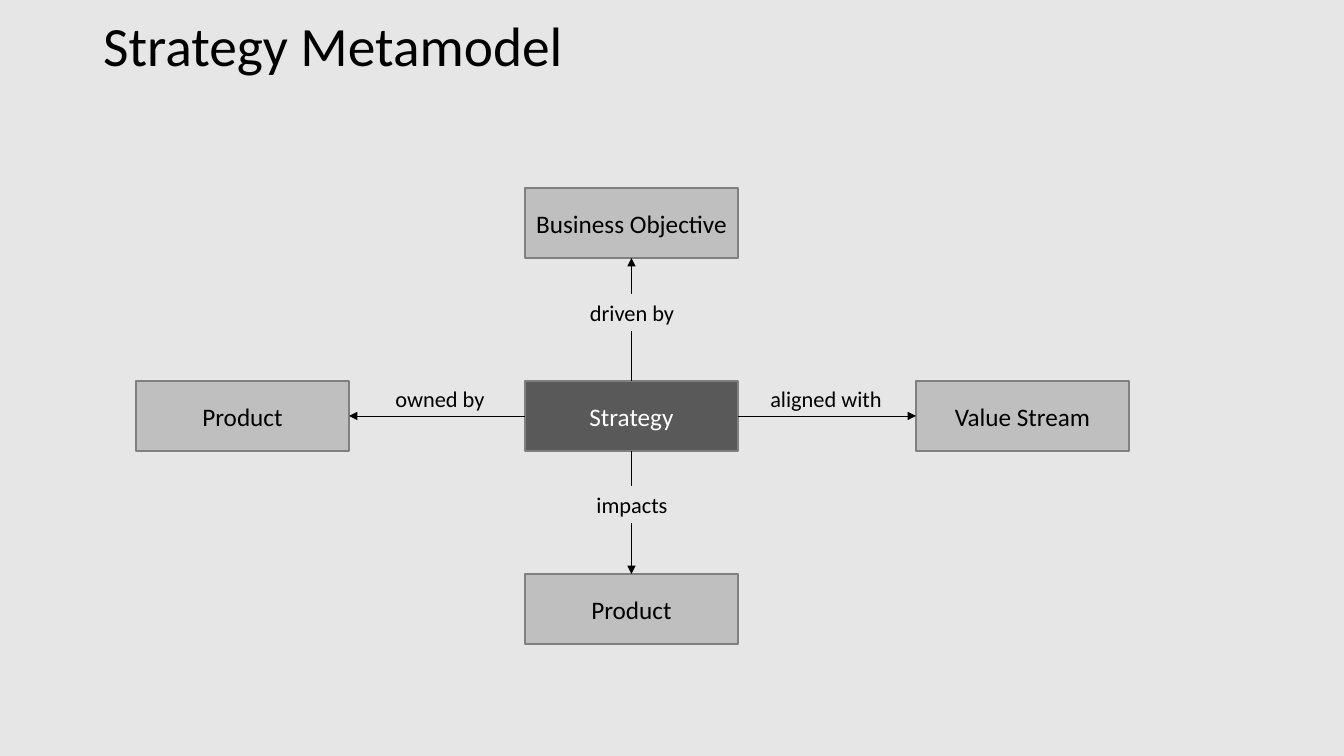
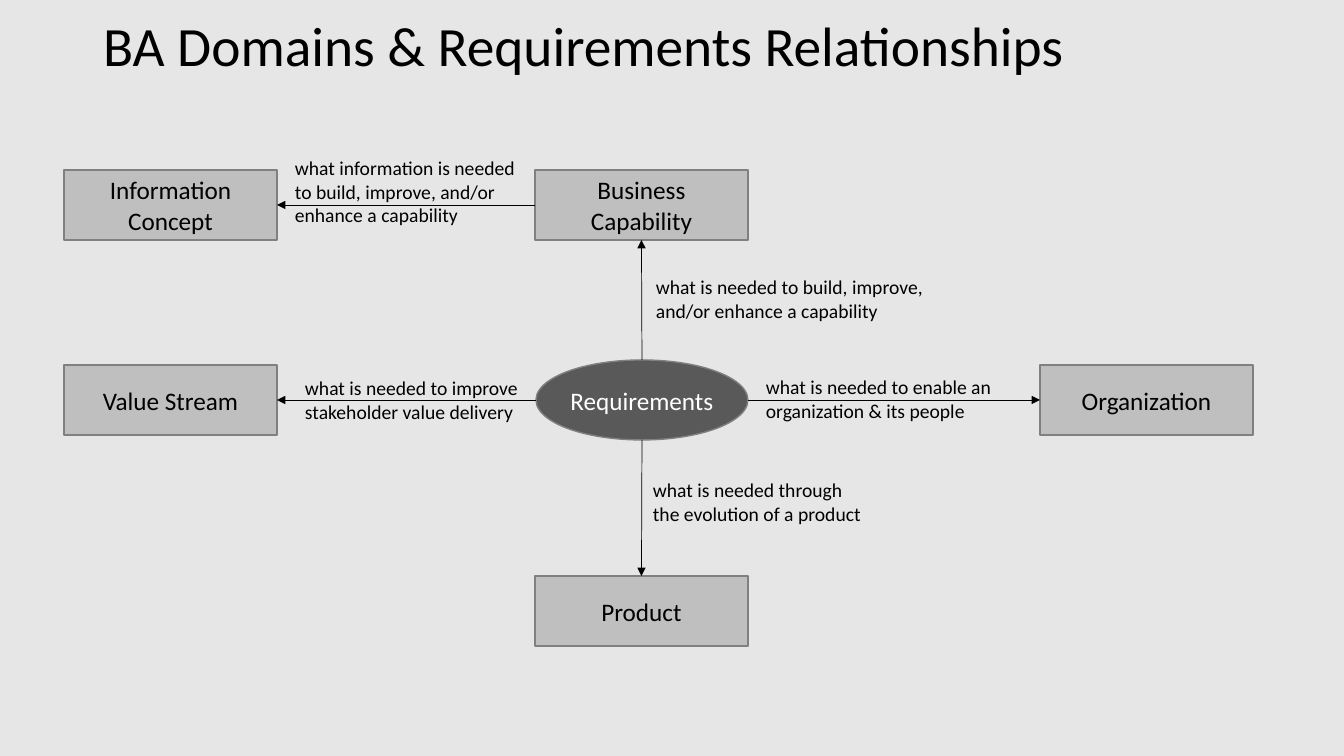
from lxml import etree
from pptx import Presentation
from pptx.dml.color import RGBColor
from pptx.enum.shapes import MSO_CONNECTOR, MSO_SHAPE
from pptx.enum.text import MSO_ANCHOR, PP_ALIGN
from pptx.oxml.ns import qn
from pptx.util import Pt

EMU_PER_PX = 914400 / 100.8
FONT = "Calibri"
BACKGROUND, BOX, HUB, BORDER = "E7E6E6", "BFBFBF", "595959", "808080"
BLACK, WHITE = "000000", "FFFFFF"
BOX_W, BOX_H = 213, 70
TOP, LEFT, BOTTOM, RIGHT = range(4)


def px(*values):
    return [round(v * EMU_PER_PX) for v in values]


def paint(color_holder, color):
    if hasattr(color_holder, "solid"):
        color_holder.solid()
        color_holder = color_holder.fore_color
    color_holder.rgb = RGBColor.from_string(color)


def write(sp, text, size=18, color=BLACK, align=PP_ALIGN.LEFT,
          anchor=MSO_ANCHOR.TOP, spacing=None, inset=None):
    tf = sp.text_frame
    tf.word_wrap = True
    tf.vertical_anchor = anchor
    if inset is not None:
        tf.margin_left = tf.margin_right = tf.margin_top = tf.margin_bottom = inset
    p = tf.paragraphs[0]
    p.alignment = align
    p.line_spacing = spacing
    r = p.add_run()
    r.text = text
    r.font.name = FONT
    r.font.size = Pt(size)
    paint(r.font.color, color)


def add_slide(prs, title):
    slide = prs.slides.add_slide(prs.slide_layouts[5])
    sp = slide.shapes.title
    sp.left, sp.top, sp.width, sp.height = px(93, 20, 1048, 58)
    write(sp, title, size=39.6, anchor=MSO_ANCHOR.MIDDLE, spacing=0.9)
    return slide


def add_node(slide, text, x, y, w=BOX_W, h=BOX_H, shape=MSO_SHAPE.RECTANGLE,
             fill=BOX, color=BLACK, inset=None):
    sp = slide.shapes.add_shape(shape, *px(x, y, w, h))
    sp.shadow.inherit = False
    paint(sp.fill, fill)
    paint(sp.line.color, BORDER)
    sp.line.width = Pt(1)
    write(sp, text, color=color, align=PP_ALIGN.CENTER,
          anchor=MSO_ANCHOR.MIDDLE, inset=inset)
    return sp


def add_label(slide, text, x, y, w, h, size=14, fill=None, align=PP_ALIGN.LEFT):
    sp = slide.shapes.add_textbox(*px(x, y, w, h))
    if fill:
        paint(sp.fill, fill)
    write(sp, text, size=size, align=align)


def add_masked_label(slide, text, x, y):
    add_label(slide, text, x, y, 134, 37, size=16, fill=BACKGROUND,
              align=PP_ALIGN.CENTER)


def side_point(sp, side):
    across = {LEFT: 0, RIGHT: sp.width}.get(side, sp.width // 2)
    down = {TOP: 0, BOTTOM: sp.height}.get(side, sp.height // 2)
    return sp.left + across, sp.top + down


def add_arrow(slide, source, source_side, target):
    target_side = (source_side + 2) % 4
    line = slide.shapes.add_connector(
        MSO_CONNECTOR.STRAIGHT,
        *side_point(source, source_side), *side_point(target, target_side))
    if source.auto_shape_type == MSO_SHAPE.RECTANGLE:
        line.begin_connect(source, source_side)
    line.end_connect(target, target_side)
    paint(line.line.color, BLACK)
    line.line.width = Pt(0.5)
    etree.SubElement(line.line._get_or_add_ln(), qn("a:tailEnd"), type="triangle")
    etree.SubElement(line._element.spPr, qn("a:effectLst"))


def build_strategy(prs):
    slide = add_slide(prs, "Strategy Metamodel")
    add_masked_label(slide, "owned by", 373, 380)
    add_masked_label(slide, "aligned with", 759, 380)
    strategy = add_node(slide, "Strategy", 525, 381, fill=HUB, color=WHITE)
    for side, text, x, y in [
        (TOP, "Business Objective", 525, 188),
        (LEFT, "Product", 136, 381),
        (BOTTOM, "Product", 525, 574),
        (RIGHT, "Value Stream", 916, 381),
    ]:
        add_arrow(slide, strategy, side, add_node(slide, text, x, y))
    add_masked_label(slide, "driven by", 565, 294)
    add_masked_label(slide, "impacts", 565, 486)


def build_requirements(prs):
    slide = add_slide(prs, "BA Domains & Requirements Relationships")
    requirements = add_node(slide, "Requirements", 536, 360, 212, 80,
                            MSO_SHAPE.OVAL, HUB, WHITE, inset=0)
    capability = add_node(slide, "Business Capability", 535, 170)
    information = add_node(slide, "Information Concept", 64, 170)
    value_stream = add_node(slide, "Value Stream", 64, 365)
    organization = add_node(slide, "Organization", 1040, 365)
    product = add_node(slide, "Product", 535, 576)
    for source, side, target in [
        (requirements, TOP, capability),
        (capability, LEFT, information),
        (requirements, LEFT, value_stream),
        (requirements, BOTTOM, product),
        (requirements, RIGHT, organization),
    ]:
        add_arrow(slide, source, side, target)
    for text, *place in [
        ("what is needed to improve stakeholder value delivery", 295, 371, 238, 57),
        ("what is needed through the evolution of a product", 643, 473, 237, 57),
        ("what information is needed to build, improve, and/or enhance a capability",
         285, 151, 247, 82),
        ("what is needed to enable an organization & its people", 756, 370, 257, 57),
        ("what is needed to build, improve, and/or enhance a capability",
         646, 270, 294, 57),
    ]:
        add_label(slide, text, *place)


def main():
    prs = Presentation()
    prs.slide_width, prs.slide_height = px(1344, 756)
    paint(prs.slide_master.background.fill, BACKGROUND)
    build_strategy(prs)
    build_requirements(prs)
    prs.save("out.pptx")


if __name__ == "__main__":
    main()
